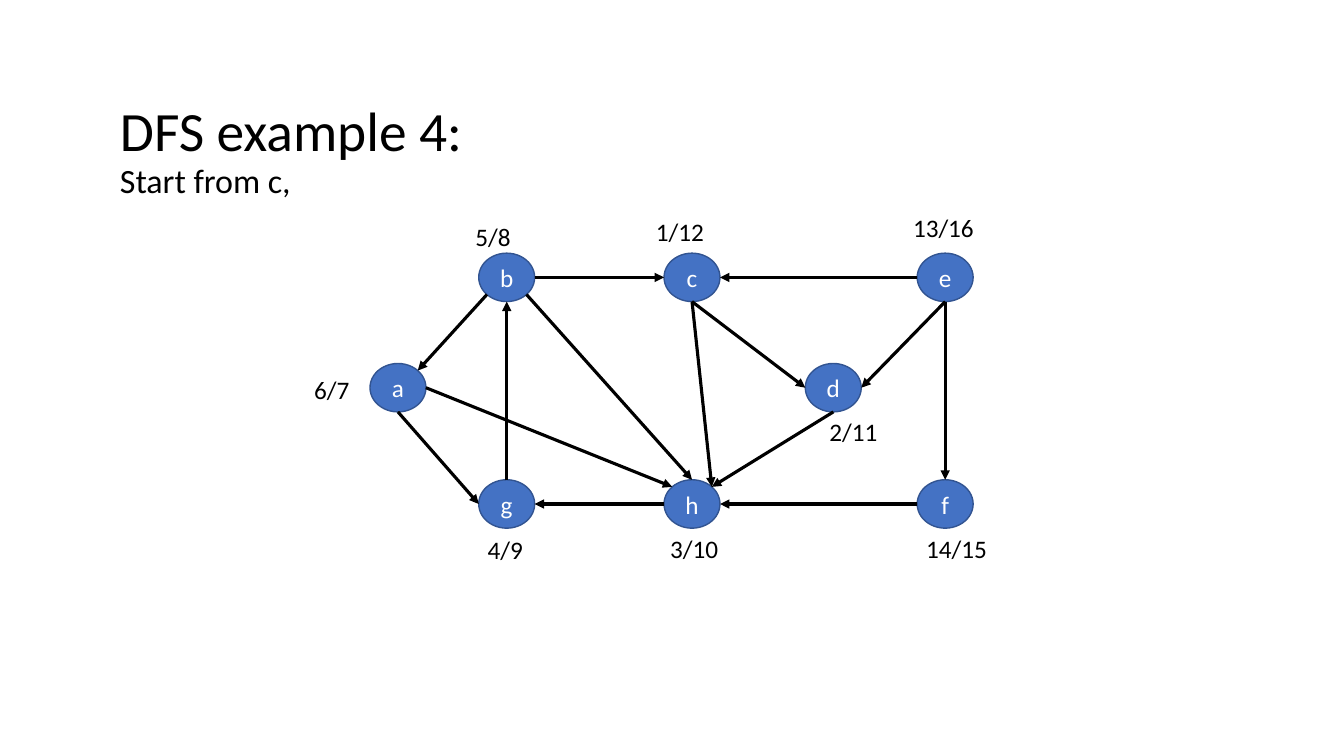
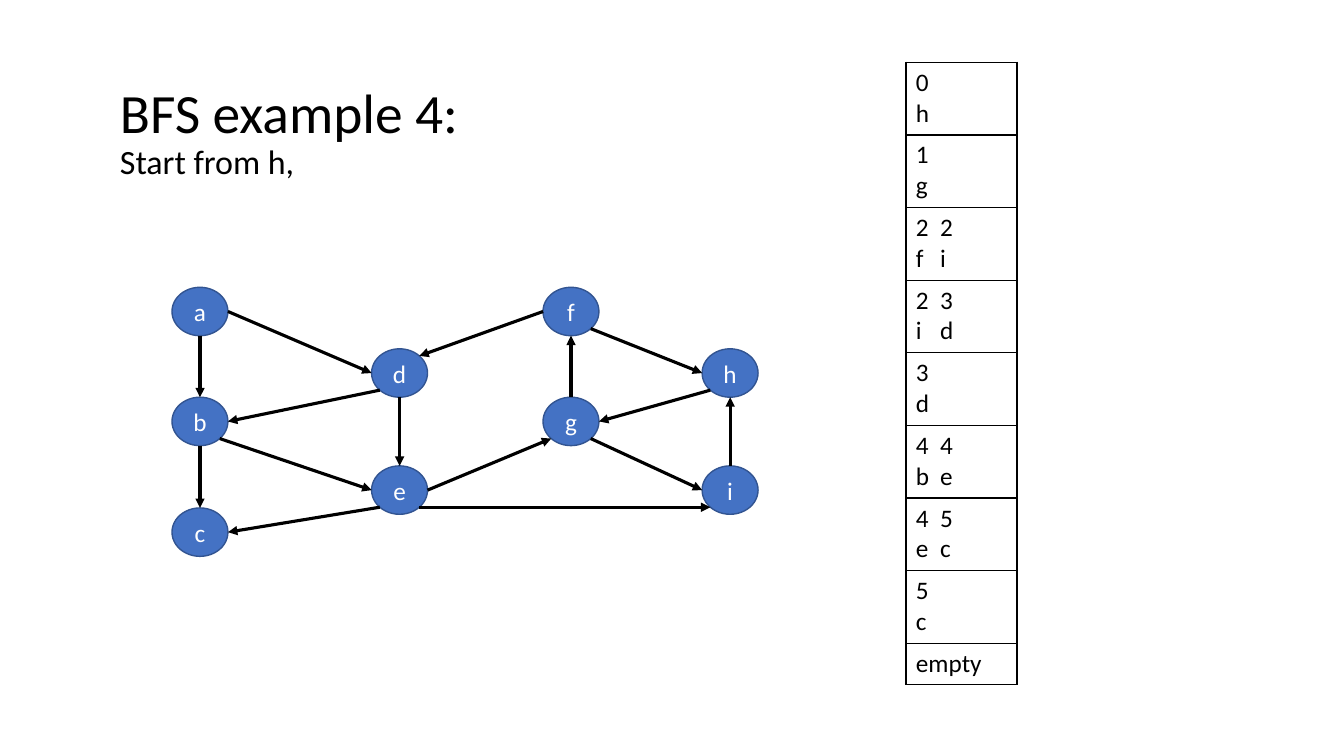
from enum import IntEnum
from math import cos, pi, sin
from typing import Any, NamedTuple

from lxml.etree import SubElement
from pptx import Presentation
from pptx.dml.color import RGBColor
from pptx.enum.shapes import MSO_CONNECTOR, MSO_SHAPE
from pptx.enum.text import MSO_ANCHOR, MSO_AUTO_SIZE, PP_ALIGN
from pptx.oxml.ns import qn
from pptx.presentation import Presentation as Deck
from pptx.shapes.autoshape import Shape
from pptx.slide import Slide
from pptx.table import _Cell as Cell
from pptx.util import Cm, Pt

BLACK = RGBColor(0x00, 0x00, 0x00)
WHITE = RGBColor(0xFF, 0xFF, 0xFF)
NODE_BLUE = RGBColor(0x44, 0x72, 0xC4)
NODE_EDGE = RGBColor(0x32, 0x54, 0x91)

BODY_FONT = {"name": "Calibri", "size": Pt(18), "bold": False}
HEADING_FONT = {**BODY_FONT, "size": Pt(39.6)}
SUBHEADING_FONT = {**BODY_FONT, "size": Pt(24.3)}
TITLE_FRAME = {
    "auto_size": MSO_AUTO_SIZE.NONE,
    "word_wrap": True,
    "vertical_anchor": MSO_ANCHOR.TOP,
}
NODE_FRAME = {
    "margin_left": 0,
    "margin_right": 0,
    "margin_top": 0,
    "margin_bottom": 0,
    "word_wrap": False,
    "vertical_anchor": MSO_ANCHOR.MIDDLE,
}
NODE_WIDTH, NODE_HEIGHT = 1.41, 1.22
LABEL_HEIGHT = 1.02
QUEUE_LEFT, QUEUE_TOP, QUEUE_WIDTH = 22.83, 1.57, 2.8
QUEUE_TAB = Cm(0.61)
FULL_ROW, SHORT_ROW = 1.83, 1.04


class Site(IntEnum):
    TOP = 0
    TOP_LEFT = 1
    LEFT = 2
    BOTTOM_LEFT = 3
    BOTTOM = 4
    BOTTOM_RIGHT = 5
    RIGHT = 6
    TOP_RIGHT = 7


class Title(NamedTuple):
    heading: str
    start: str
    width: float
    margin_top: float


class Node(NamedTuple):
    name: str
    x: float
    y: float


class Edge(NamedTuple):
    start: str
    start_site: Site
    end: str
    end_site: Site


class Label(NamedTuple):
    text: str
    left: float
    top: float
    width: float = 1.78


DFS_TITLE = Title("DFS example 4:", "Start from c,", 26.29, 0.51)
DFS_NODES = [
    Node("a", 10.03, 9.77),
    Node("b", 12.77, 6.99),
    Node("c", 17.44, 6.99),
    Node("d", 21, 9.77),
    Node("e", 23.82, 6.99),
    Node("f", 23.82, 12.7),
    Node("g", 12.77, 12.7),
    Node("h", 17.44, 12.7),
]
DFS_EDGES = [
    Edge("d", Site.BOTTOM, "h", Site.TOP_RIGHT),
    Edge("b", Site.BOTTOM_LEFT, "a", Site.TOP_RIGHT),
    Edge("b", Site.RIGHT, "c", Site.LEFT),
    Edge("e", Site.LEFT, "c", Site.RIGHT),
    Edge("c", Site.BOTTOM, "d", Site.LEFT),
    Edge("e", Site.BOTTOM, "d", Site.RIGHT),
    Edge("e", Site.BOTTOM, "f", Site.TOP),
    Edge("f", Site.LEFT, "h", Site.RIGHT),
    Edge("h", Site.LEFT, "g", Site.RIGHT),
    Edge("a", Site.BOTTOM, "g", Site.LEFT),
    Edge("g", Site.TOP, "b", Site.BOTTOM),
    Edge("a", Site.RIGHT, "h", Site.TOP_LEFT),
    Edge("b", Site.BOTTOM_RIGHT, "h", Site.TOP),
    Edge("c", Site.BOTTOM, "h", Site.TOP_RIGHT),
]
DFS_LABELS = [
    Label("5/8", 11.73, 5.44),
    Label("1/12", 16.28, 5.33),
    Label("13/16", 22.76, 5.23, 2.44),
    Label("6/7", 7.67, 9.32),
    Label("4/9", 12.04, 13.34, 2.03),
    Label("3/10", 16.64, 13.31),
    Label("14/15", 23.09, 13.31, 2.13),
    Label("2/11", 20.65, 10.36),
]

BFS_TITLE = Title("BFS example 4:", "Start from h,", 12.34, 0.05)
BFS_NODES = [
    Node("a", 5.04, 7.85),
    Node("b", 5.04, 10.62),
    Node("c", 5.04, 13.41),
    Node("d", 10.07, 9.4),
    Node("e", 10.07, 12.35),
    Node("f", 14.39, 7.85),
    Node("g", 14.39, 10.62),
    Node("h", 18.4, 9.4),
    Node("i", 18.4, 12.35),
]
BFS_EDGES = [
    Edge("i", Site.TOP, "h", Site.BOTTOM),
    Edge("a", Site.BOTTOM, "b", Site.TOP),
    Edge("b", Site.BOTTOM, "c", Site.TOP),
    Edge("a", Site.RIGHT, "d", Site.LEFT),
    Edge("d", Site.BOTTOM_LEFT, "b", Site.RIGHT),
    Edge("b", Site.BOTTOM_RIGHT, "e", Site.LEFT),
    Edge("d", Site.BOTTOM, "e", Site.TOP),
    Edge("e", Site.BOTTOM_LEFT, "c", Site.RIGHT),
    Edge("f", Site.LEFT, "d", Site.TOP_RIGHT),
    Edge("e", Site.RIGHT, "g", Site.BOTTOM_LEFT),
    Edge("g", Site.TOP, "f", Site.BOTTOM),
    Edge("f", Site.BOTTOM_RIGHT, "h", Site.LEFT),
    Edge("h", Site.BOTTOM_LEFT, "g", Site.RIGHT),
    Edge("e", Site.BOTTOM_RIGHT, "i", Site.BOTTOM_LEFT),
    Edge("g", Site.BOTTOM_RIGHT, "i", Site.LEFT),
]
BFS_QUEUE = [
    ("0", "h"),
    ("1", "g"),
    ("2\t2", "f\ti"),
    ("2\t3", "i\td"),
    ("3", "d"),
    ("4\t4", "b\te"),
    ("4\t5", "e\tc"),
    ("5", "c"),
    ("empty",),
]


def set_format(target: Any, values: dict[str, Any]) -> None:
    for name, value in values.items():
        setattr(target, name, value)


def set_font(font: Any, values: dict[str, Any], color: RGBColor = BLACK) -> None:
    set_format(font, values)
    font.color.rgb = color


def add_page(deck: Deck, title: Title) -> Slide:
    page = deck.slides.add_slide(deck.slide_layouts[5])
    box = page.shapes.title
    set_format(box, {"left": Cm(2.77), "top": Cm(2.11),
                     "width": Cm(title.width), "height": Cm(14.07)})
    set_format(box.text_frame, {**TITLE_FRAME, "margin_top": Cm(title.margin_top)})
    para = box.text_frame.paragraphs[0]
    set_format(para, {"alignment": PP_ALIGN.LEFT, "line_spacing": 0.9})
    span = para.add_run()
    span.text = title.heading
    set_font(span.font, HEADING_FONT)
    para.add_line_break()
    span = para.add_run()
    span.text = title.start
    set_font(span.font, SUBHEADING_FONT)
    return page


def add_node(page: Slide, node: Node) -> Shape:
    oval = page.shapes.add_shape(
        MSO_SHAPE.OVAL,
        Cm(node.x - NODE_WIDTH / 2), Cm(node.y - NODE_HEIGHT / 2),
        Cm(NODE_WIDTH), Cm(NODE_HEIGHT),
    )
    oval.shadow.inherit = False
    oval.fill.solid()
    oval.fill.fore_color.rgb = NODE_BLUE
    oval.line.color.rgb = NODE_EDGE
    oval.line.width = Pt(1)
    set_format(oval.text_frame, NODE_FRAME)
    para = oval.text_frame.paragraphs[0]
    para.text = node.name
    para.alignment = PP_ALIGN.CENTER
    set_font(para.font, BODY_FONT, WHITE)
    return oval


def site_point(oval: Shape, site: Site) -> tuple[int, int]:
    angle = site * pi / 4
    x = oval.left + oval.width / 2 * (1 - sin(angle))
    y = oval.top + oval.height / 2 * (1 - cos(angle))
    return round(x), round(y)


def add_edge(page: Slide, edge: Edge, ovals: dict[str, Shape]) -> None:
    start, end = ovals[edge.start], ovals[edge.end]
    arrow = page.shapes.add_connector(
        MSO_CONNECTOR.STRAIGHT,
        *site_point(start, edge.start_site),
        *site_point(end, edge.end_site),
    )
    arrow.line.color.rgb = BLACK
    arrow.line.width = Pt(2.25)
    properties = arrow.element.spPr
    SubElement(properties.find(qn("a:ln")), qn("a:tailEnd"), type="triangle")
    SubElement(properties, qn("a:effectLst"))
    joints = arrow.element.nvCxnSpPr.cNvCxnSpPr
    for tag, oval, site in (("a:stCxn", start, edge.start_site),
                            ("a:endCxn", end, edge.end_site)):
        SubElement(joints, qn(tag), id=str(oval.shape_id), idx=str(int(site)))


def add_graph(page: Slide, nodes: list[Node], edges: list[Edge]) -> None:
    ovals = {node.name: add_node(page, node) for node in nodes}
    for edge in edges:
        add_edge(page, edge, ovals)


def add_label(page: Slide, label: Label) -> None:
    box = page.shapes.add_textbox(
        Cm(label.left), Cm(label.top), Cm(label.width), Cm(LABEL_HEIGHT)
    )
    box.text_frame.word_wrap = True
    para = box.text_frame.paragraphs[0]
    para.text = label.text
    set_font(para.font, BODY_FONT)


def add_borders(cell: Cell) -> None:
    properties = cell._tc.get_or_add_tcPr()
    for side in ("a:lnL", "a:lnR", "a:lnT", "a:lnB"):
        line = SubElement(properties, qn(side), w=str(Pt(1)))
        fill = SubElement(line, qn("a:solidFill"))
        SubElement(fill, qn("a:srgbClr"), val=str(BLACK))


def add_queue(page: Slide, states: list[tuple[str, ...]]) -> None:
    heights = [Cm(FULL_ROW if len(state) > 1 else SHORT_ROW) for state in states]
    table = page.shapes.add_table(
        len(states), 1, Cm(QUEUE_LEFT), Cm(QUEUE_TOP), Cm(QUEUE_WIDTH), sum(heights)
    ).table
    set_format(table, {"first_row": False, "horz_banding": False})
    for row, height, state in zip(table.rows, heights, states):
        row.height = height
        cell = row.cells[0]
        add_borders(cell)
        cell.fill.background()
        cell.text_frame.text = "\n".join(state)
        for para in cell.text_frame.paragraphs:
            if "\t" in para.text:
                stops = SubElement(para._p.get_or_add_pPr(), qn("a:tabLst"))
                SubElement(stops, qn("a:tab"), pos=str(QUEUE_TAB), algn="l")
            set_font(para.font, BODY_FONT)


def main() -> None:
    deck = Presentation()
    set_format(deck, {"slide_width": Cm(33.87), "slide_height": Cm(19.05)})
    dfs_page = add_page(deck, DFS_TITLE)
    add_graph(dfs_page, DFS_NODES, DFS_EDGES)
    for label in DFS_LABELS:
        add_label(dfs_page, label)
    bfs_page = add_page(deck, BFS_TITLE)
    add_graph(bfs_page, BFS_NODES, BFS_EDGES)
    add_queue(bfs_page, BFS_QUEUE)
    deck.save("out.pptx")


if __name__ == "__main__":
    main()
